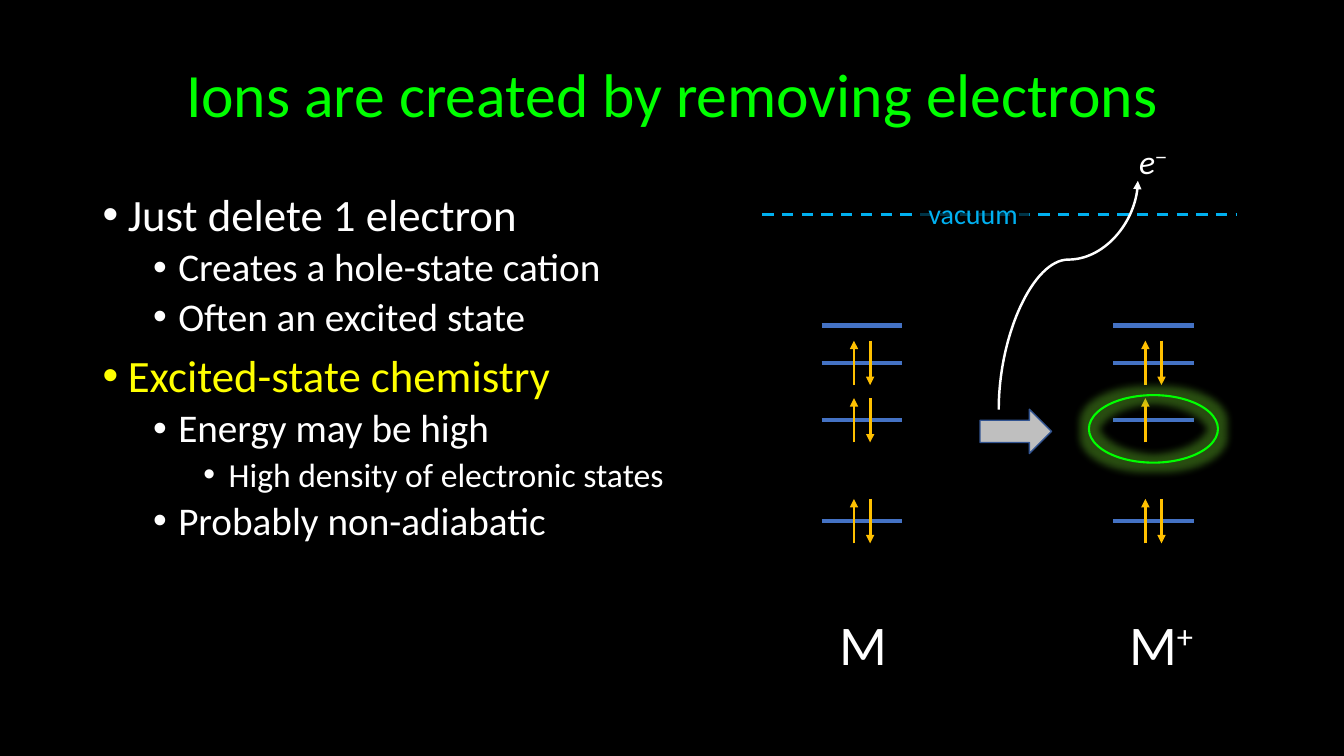
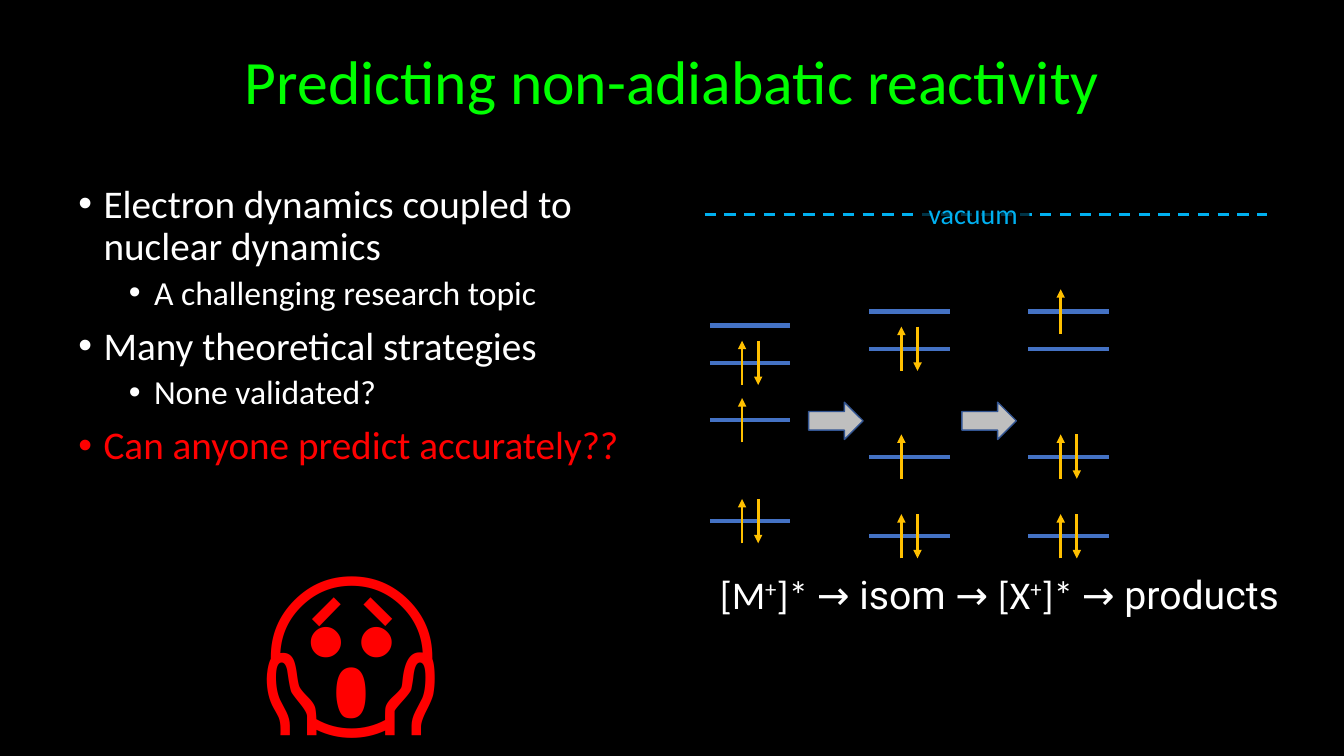
from lxml import etree
from pptx import Presentation
from pptx.dml.color import RGBColor
from pptx.enum import dml, shapes, text
from pptx.oxml import ns
from pptx.util import Inches, Pt

BLACK, WHITE, GREEN, YELLOW, RED = "000000", "FFFFFF", "00FF00", "FFFF00", "FF0000"
VACUUM, LEVEL, ELECTRON = "00B0F0", "4472C4", "FFC000"
ARROW_FILL, ARROW_EDGE, GLOW = "BFBFBF", "325491", "66C22A"
FONT = "Calibri"
LEVEL_WIDTH, ARROW_HALF = 0.8, 0.22
SPIN_X = {"u": 0.32, "d": 0.48}
MOLECULE = (0, 0.37, 0.94, 1.94)
ISOMER = (0, 0.37, 1.44, 2.23)


def rgb(color):
    return RGBColor.from_string(color)


def sub(parent, tag, **attrs):
    """Append a DrawingML child element."""
    return etree.SubElement(parent, ns.qn(f"a:{tag}"), attrs)


def add_run(p, content, size, color=WHITE, font=FONT, italic=None, bold=None, raised=False):
    r = p.add_run()
    r.text = content
    f = r.font
    f.size, f.name, f.italic, f.bold = Pt(size), font, italic, bold
    f.color.rgb = rgb(color)
    if raised:
        f._element.set("baseline", "30000")


def text_box(s, box, wrap=True):
    tf = s.shapes.add_textbox(*map(Inches, box)).text_frame
    tf.word_wrap = wrap
    if not wrap:
        tf.auto_size = text.MSO_AUTO_SIZE.SHAPE_TO_FIT_TEXT
    return tf


def label(s, box, size, runs, wrap=False):
    """One line of text; each run is a string and its format options."""
    p = text_box(s, box, wrap).paragraphs[0]
    for content, options in runs:
        add_run(p, content, size, **options)


def line(s, start, end, color, width, dash=None, arrow=False, kind=shapes.MSO_CONNECTOR.STRAIGHT):
    c = s.shapes.add_connector(kind, *map(Inches, (*start, *end)))
    c.line.color.rgb = rgb(color)
    c.line.width = Pt(width)
    if dash:
        c.line.dash_style = dash
    if arrow:
        sub(c.line._get_or_add_ln(), "tailEnd", type="triangle")
    sub(c._element.spPr, "effectLst")
    return c


def shape(s, kind, box, fill=None, edge=None, width=1):
    sp = s.shapes.add_shape(kind, *map(Inches, box))
    if fill:
        sp.fill.solid()
        sp.fill.fore_color.rgb = rgb(fill)
    else:
        sp.fill.background()
    if edge:
        sp.line.color.rgb = rgb(edge)
        sp.line.width = Pt(width)
    else:
        sp.line.fill.background()
    sp.shadow.inherit = False
    return sp


def title(s, content, height):
    tf = text_box(s, (0.92, 0.4, 11.5, height))
    tf.vertical_anchor = text.MSO_ANCHOR.MIDDLE
    p = tf.paragraphs[0]
    p.alignment = text.PP_ALIGN.CENTER
    p.line_spacing = 0.9
    add_run(p, content, 44, GREEN)


def bullet_list(s, box, top_size, items):
    """Items are (level, text, colour); each level is 4 points smaller."""
    tf = text_box(s, box)
    for i, (level, content, color) in enumerate(items):
        p = tf.add_paragraph() if i else tf.paragraphs[0]
        p.level = level
        p.line_spacing = 0.9
        p.space_before = Pt(5 if level else 10)
        pPr = p._p.get_or_add_pPr()
        pPr.set("marL", str(Inches(0.25 + 0.5 * level)))
        pPr.set("indent", str(Inches(-0.25)))
        sub(pPr, "buFont", typeface="Arial")
        sub(pPr, "buChar", char="•")
        add_run(p, content, top_size - 4 * level, color)


def vacuum_line(s, left, right, y=2.13):
    line(s, (left, y), (right, y), VACUUM, 2, dash=dml.MSO_LINE.DASH)


def vacuum_label(s):
    sp = shape(s, shapes.MSO_SHAPE.RECTANGLE, (9.11, 1.9, 1.1, 0.44), BLACK)
    sub(sp._element.spPr.find(".//" + ns.qn("a:srgbClr")), "alpha", val="70000")
    tf = sp.text_frame
    tf.vertical_anchor = text.MSO_ANCHOR.MIDDLE
    p = tf.paragraphs[0]
    p.alignment = text.PP_ALIGN.LEFT
    add_run(p, "vacuum", 20, VACUUM)


def energy_levels(s, left, top, offsets, spins):
    """Level lines from the top down, each with its up (u) and down (d) electrons."""
    for offset, electrons in zip(offsets, spins):
        y = top + offset
        line(s, (left, y), (left + LEVEL_WIDTH, y), LEVEL, 3)
        for spin in electrons:
            x = left + SPIN_X[spin]
            reach = ARROW_HALF if spin == "u" else -ARROW_HALF
            line(s, (x, y + reach), (x, y - reach), ELECTRON, 2, arrow=True)


def step_arrow(s, box):
    shape(s, shapes.MSO_SHAPE.RIGHT_ARROW, box, ARROW_FILL, ARROW_EDGE)


def escape_curve(s):
    """Curved arrow of the leaving electron, turned a quarter."""
    c = line(s, (11.73, 3.62), (9.46, 2.24), WHITE, 1.75, arrow=True,
             kind=shapes.MSO_CONNECTOR.CURVE)
    spPr = c._element.spPr
    spPr.find(ns.qn("a:xfrm")).set("rot", "5400000")
    geometry = spPr.find(ns.qn("a:prstGeom"))
    guides = geometry.find(ns.qn("a:avLst"))
    if guides is None:
        guides = sub(geometry, "avLst")
    sub(guides, "gd", name="adj1", fmla="val 65600")


def hole_ring(s, box):
    sp = shape(s, shapes.MSO_SHAPE.OVAL, box, edge=GREEN, width=1.5)
    effects = sp._element.spPr.find(ns.qn("a:effectLst"))
    glow = sub(effects, "glow", rad=str(Pt(11)))
    sub(sub(glow, "srgbClr", val=GLOW), "alpha", val="40000")


def ion_slide(s):
    title(s, "Ions are created by removing electrons", 1.14)
    bullet_list(s, (0.92, 1.86, 6.14, 4.78), 32, [
        (0, "Just delete 1 electron", WHITE),
        (1, "Creates a hole-state cation", WHITE),
        (1, "Often an excited state", WHITE),
        (0, "Excited-state chemistry", YELLOW),
        (1, "Energy may be high", WHITE),
        (2, "High density of electronic states", WHITE),
        (1, "Probably non-adiabatic", WHITE)])
    vacuum_line(s, 7.56, 12.26)
    energy_levels(s, 8.15, 3.23, MOLECULE, ("", "ud", "ud", "ud"))
    step_arrow(s, (9.72, 4.06, 0.71, 0.44))
    energy_levels(s, 11.04, 3.23, MOLECULE, ("", "ud", "u", "ud"))
    label(s, (11.2, 1.35, 0.49, 0.5), 24,
          [("e", {"italic": True}), ("−", {"font": "Arial", "italic": True, "raised": True})])
    escape_curve(s)
    vacuum_label(s)
    label(s, (8.23, 6, 0.68, 0.77), 40, [("M", {})])
    label(s, (11.1, 6, 0.87, 0.77), 40, [("M", {}), ("+", {"raised": True})])
    hole_ring(s, (10.8, 3.92, 1.28, 0.67))


def reactivity_slide(s):
    title(s, "Predicting non-adiabatic reactivity", 0.88)
    bullet_list(s, (0.68, 1.78, 5.74, 4.06), 28, [
        (0, "Electron dynamics coupled to nuclear dynamics", WHITE),
        (1, "A challenging research topic", WHITE),
        (0, "Many theoretical strategies", WHITE),
        (1, "None validated?", WHITE),
        (0, "Can anyone predict accurately??", RED)])
    vacuum_line(s, 6.99, 12.57)
    vacuum_label(s)
    energy_levels(s, 7.04, 3.23, MOLECULE, ("", "ud", "u", "ud"))
    energy_levels(s, 8.62, 3.09, ISOMER, ("", "ud", "u", "ud"))
    energy_levels(s, 10.2, 3.09, ISOMER, ("u", "", "ud", "ud"))
    for left in (8.02, 9.54):
        step_arrow(s, (left, 3.99, 0.54, 0.37))
    raised, roboto = {"raised": True}, {"font": "Roboto"}
    label(s, (7.04, 5.61, 6.02, 0.57), 28, [
        ("[M", {}), ("+", raised), ("]* ", {}), ("→ isom → ", roboto),
        ("[X", {}), ("+", raised), ("]* ", {}), ("→ products", roboto)], wrap=True)
    label(s, (2.48, 5.1, 2.14, 2.42), 138,
          [("😱", {"color": RED, "font": "Cabin", "bold": True})])


def main():
    prs = Presentation()
    prs.slide_width, prs.slide_height = Inches(13.33), Inches(7.5)
    background = prs.slide_master.background.fill
    background.solid()
    background.fore_color.rgb = rgb(BLACK)
    for build in (ion_slide, reactivity_slide):
        build(prs.slides.add_slide(prs.slide_layouts[6]))
    prs.save("out.pptx")


if __name__ == "__main__":
    main()
